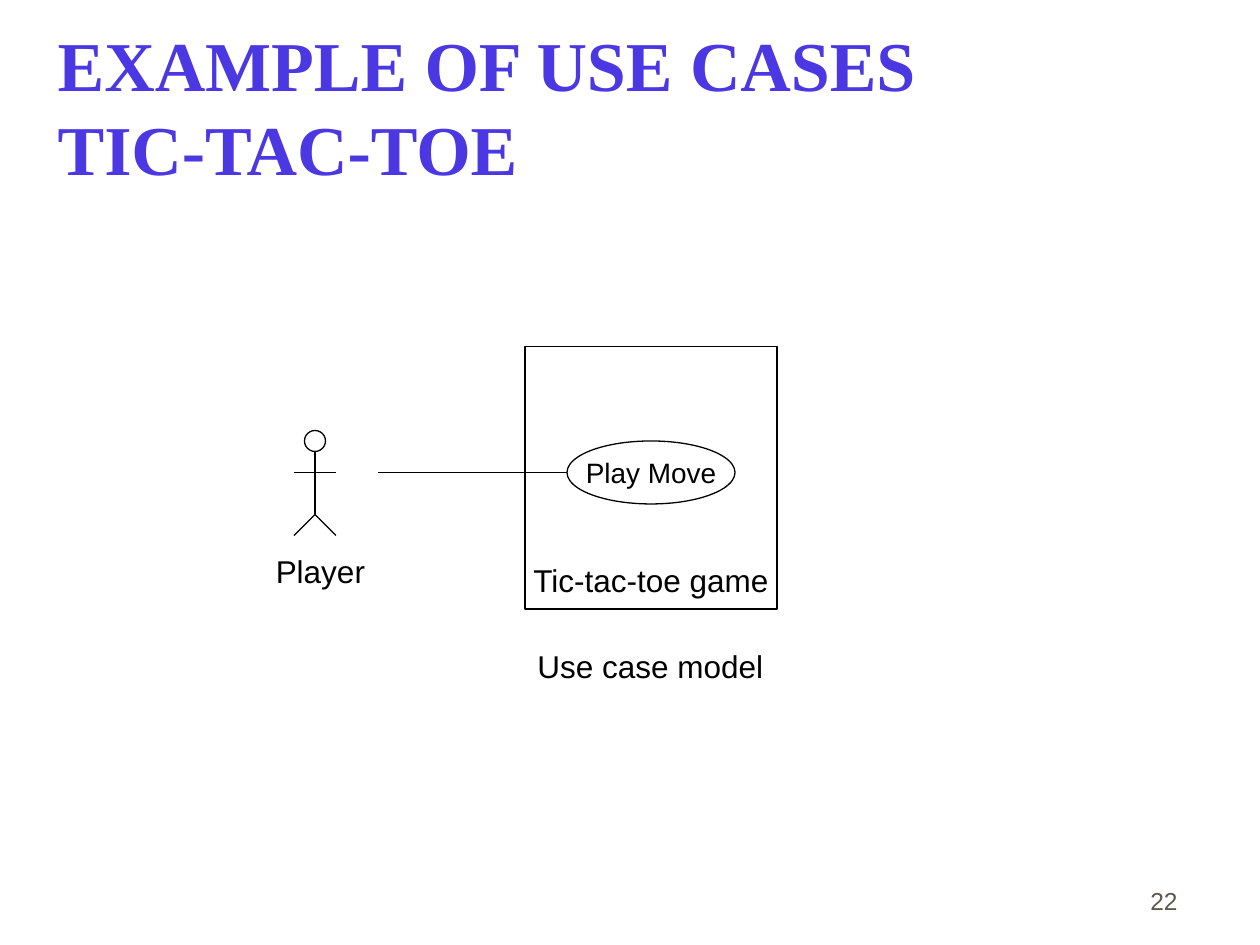
import pptx
import pptx.dml.color
import pptx.enum.shapes
import pptx.enum.text
import pptx.oxml
import pptx.util

Pt = pptx.util.Pt
ALIGN = pptx.enum.text.PP_ALIGN
ANCHOR = pptx.enum.text.MSO_ANCHOR
SHAPE = pptx.enum.shapes.MSO_SHAPE
BLACK = "000000"
LINE_WIDTH = 0.75


def color(value):
    return pptx.dml.color.RGBColor.from_string(value)


def write(shape, text, size, frame_format=None, para_format=None,
          font_format=None, ink=BLACK):
    frame = shape.text_frame
    frame_values = {"word_wrap": False, "margin_left": Pt(7.2),
                    "margin_right": Pt(7.2), "margin_top": Pt(3.6),
                    "margin_bottom": Pt(3.6)}
    frame.text = text
    para = frame.paragraphs[0]
    font_values = {"name": "Arial", "size": Pt(size)}
    for target, values in ((frame, frame_values | (frame_format or {})),
                           (para, para_format or {}),
                           (para.font, font_values | (font_format or {}))):
        for name, value in values.items():
            setattr(target, name, value)
    para.font.color.rgb = color(ink)


def add_text(page, box, text, size, **formats):
    shape = page.shapes.add_textbox(*map(Pt, box))
    write(shape, text, size, **formats)


def add_outline(page, kind, box):
    shape = page.shapes.add_shape(kind, *map(Pt, box))
    shape.shadow.inherit = False
    shape.fill.background()
    shape.line.color.rgb = color(BLACK)
    shape.line.width = Pt(LINE_WIDTH)
    return shape


def add_line(page, start, end):
    line = page.shapes.add_connector(
        pptx.enum.shapes.MSO_CONNECTOR.STRAIGHT, *map(Pt, start + end))
    line.line.color.rgb = color(BLACK)
    line.line.width = Pt(LINE_WIDTH)
    properties = line._element.spPr
    properties.append(pptx.oxml.parse_xml(
        '<a:effectLst xmlns:a='
        '"http://schemas.openxmlformats.org/drawingml/2006/main"/>'))


def add_title(page, box):
    add_text(page, box, "EXAMPLE OF USE CASES \vTIC-TAC-TOE", 40,
             frame_format={"word_wrap": True, "margin_left": Pt(1.5),
                           "margin_right": Pt(1.5),
                           "vertical_anchor": ANCHOR.MIDDLE},
             para_format={"line_spacing": Pt(48)},
             font_format={"name": "Times New Roman", "bold": True},
             ink="4C38E2")


def add_page_number(page, box):
    add_text(page, box, "22", 14,
             frame_format={"word_wrap": True,
                           "vertical_anchor": ANCHOR.BOTTOM},
             para_format={"alignment": ALIGN.RIGHT}, ink="5E574E")


def add_system(page, box):
    left, top, width, height = box
    # System boundary with its name at the bottom
    boundary = add_outline(page, SHAPE.RECTANGLE, box)
    write(boundary, "Tic-tac-toe game", 18,
          frame_format={"vertical_anchor": ANCHOR.BOTTOM,
                        "margin_bottom": Pt(6)},
          para_format={"alignment": ALIGN.CENTER})
    # Use case
    use_case = add_outline(page, SHAPE.OVAL,
                           (left + 24, top + 54, width - 48, 36))
    write(use_case, "Play Move", 16,
          frame_format={"vertical_anchor": ANCHOR.MIDDLE},
          para_format={"alignment": ALIGN.CENTER})
    # Caption
    add_text(page, (left, top + height + 18, width, 28.8),
             "Use case model", 18)


def add_actor(page, box):
    left, top, width, height = box
    middle, right, bottom = left + width / 2, left + width, top + height
    head = width / 2
    hip = bottom - head
    add_outline(page, SHAPE.OVAL, (middle - head / 2, top, head, head))
    # Body, arms and legs
    for start, end in (((middle, top + head), (middle, hip)),
                       ((left, top + 2 * head), (right, top + 2 * head)),
                       ((middle, hip), (left, bottom)),
                       ((middle, hip), (right, bottom))):
        add_line(page, start, end)
    # Name
    add_text(page, (left - 17.5, bottom + 6, 65.5, 28.8), "Player", 18)


def main():
    deck = pptx.Presentation()
    deck.slide_width, deck.slide_height = Pt(720), Pt(540)
    page = deck.slides.add_slide(deck.slide_layouts[6])
    add_page_number(page, (530, 490.5, 150, 36))
    add_title(page, (31.5, 15.5, 612, 90))
    add_system(page, (300, 198, 144, 150))
    add_actor(page, (168, 246, 24, 60))
    # Association between player and use case
    add_line(page, (216, 270), (324, 270))
    deck.save("out.pptx")


if __name__ == "__main__":
    main()
